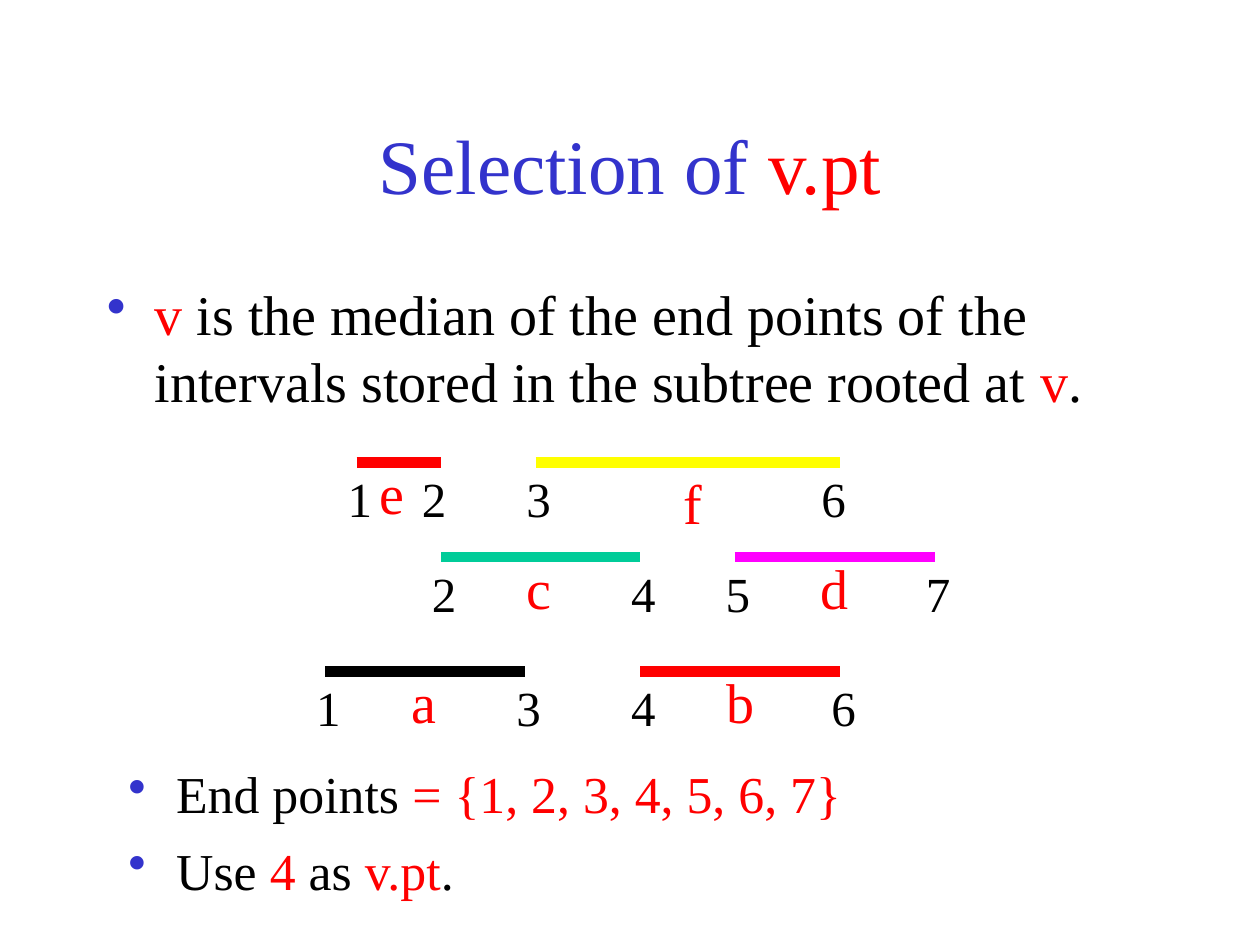
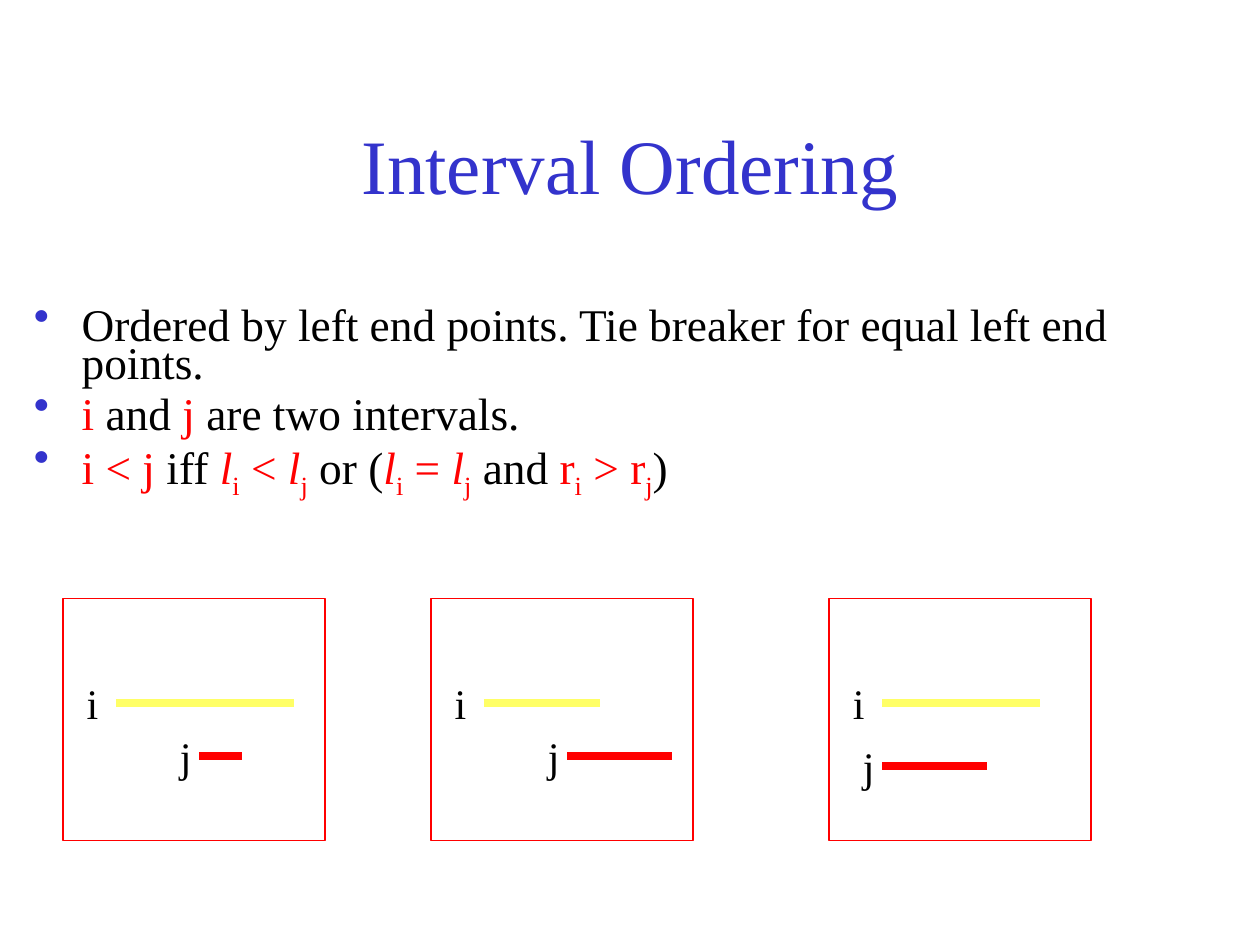
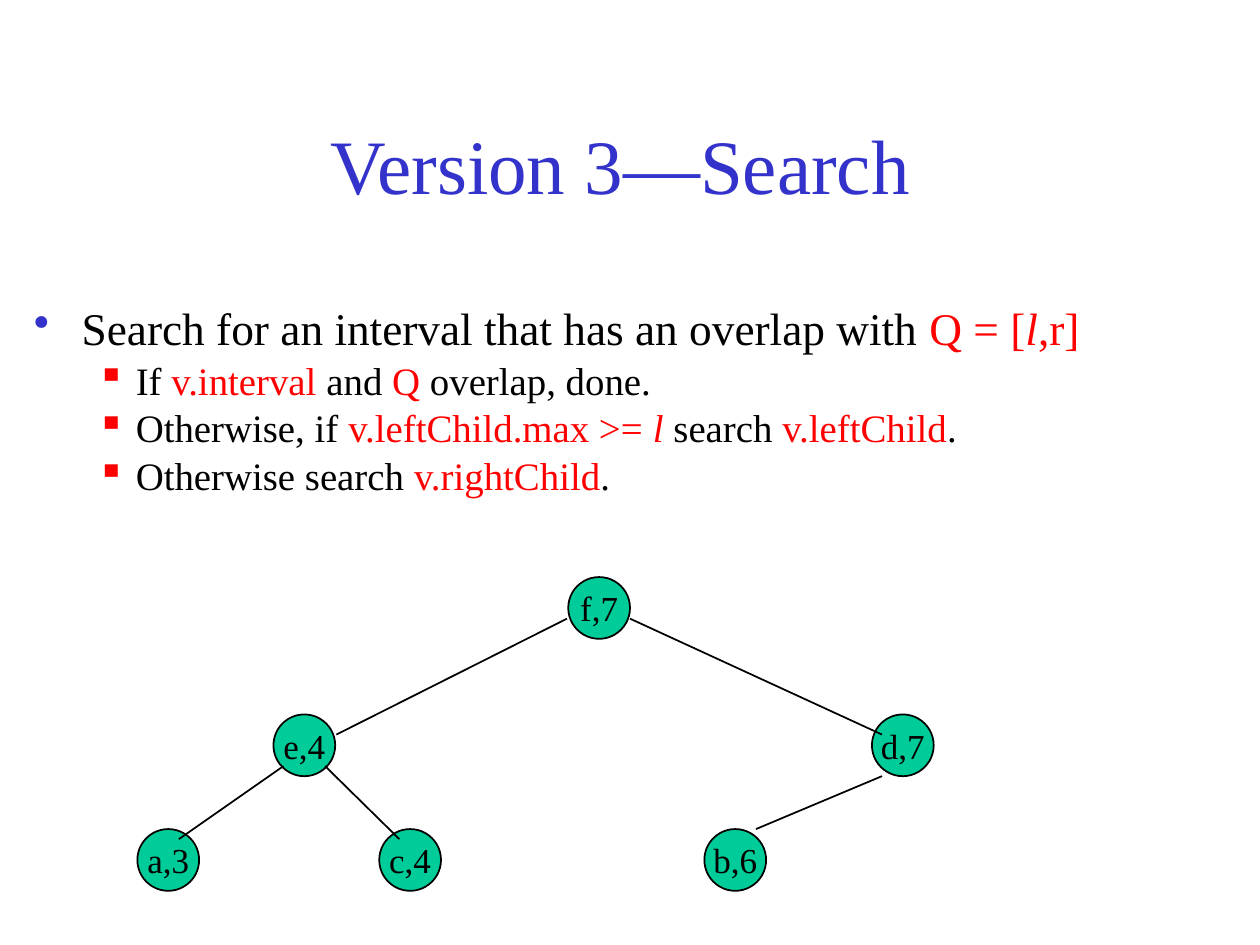
from dataclasses import dataclass

from lxml.etree import SubElement
from pptx import Presentation
from pptx.dml.color import RGBColor as RGB
from pptx.enum.shapes import MSO_CONNECTOR as CONNECTOR, MSO_SHAPE as SHAPE
from pptx.enum.text import MSO_ANCHOR as ANCHOR, PP_ALIGN as ALIGN
from pptx.oxml.ns import qn
from pptx.util import Inches, Pt


@dataclass(frozen=True)
class Theme:
    font: str = "Times New Roman"
    blue: RGB = RGB(0x33, 0x33, 0xCC)
    red: RGB = RGB(0xFF, 0x00, 0x00)
    black: RGB = RGB(0x00, 0x00, 0x00)
    green: RGB = RGB(0x00, 0xCC, 0x99)
    yellow: RGB = RGB(0xFF, 0xFF, 0x00)
    pale_yellow: RGB = RGB(0xFF, 0xFF, 0x66)
    magenta: RGB = RGB(0xFF, 0x00, 0xFF)
    title: float = 44
    statement: float = 32
    conclusion: float = 29.6
    body: float = 25.9
    detail: float = 22.2
    interval_name: float = 32
    end_point: float = 28
    panel_name: float = 24
    node: float = 20


THEME = Theme()


@dataclass(frozen=True)
class Run:
    text: str
    color: RGB = THEME.black
    italic: bool = False
    subscript: bool = False


@dataclass(frozen=True)
class Level:
    """Bullet style of one outline level; lengths in inches."""
    depth: int
    bullet: str
    color: RGB
    indent: float
    hanging: float


@dataclass(frozen=True)
class Interval:
    """A bar with its end points; the shifts fine-tune its labels."""
    name: str
    first: str
    last: str
    start: float
    end: float
    y: float
    color: RGB
    last_shift: float = -0.17
    name_shift: float = 0
    name_lift: float = 0.08


MAIN = Level(0, "•", THEME.blue, 0.38, 0.38)
SUB = Level(1, "▪", THEME.red, 0.81, 0.31)


def red(text):
    return Run(text, THEME.red)


def variable(text):
    return Run(text, THEME.red, italic=True)


def index(text):
    return Run(text, THEME.red, subscript=True)


def fill_paragraph(paragraph, runs, size):
    """Write runs (plain strings are black) in the theme font."""
    runs = [Run(run) if isinstance(run, str) else run for run in runs]
    paragraph.font.name = THEME.font
    paragraph.font.size = Pt(size)
    colors = {run.color for run in runs}
    if len(colors) == 1:
        paragraph.font.color.rgb = runs[0].color
    for run in runs:
        piece = paragraph.add_run()
        piece.text = run.text
        if len(colors) > 1:
            piece.font.color.rgb = run.color
        if run.italic:
            piece.font.italic = True
        if run.subscript:
            piece._r.get_or_add_rPr().set("baseline", "-25000")


def add_text_frame(slide, left, top, width, height):
    box = slide.shapes.add_textbox(
        Inches(left), Inches(top), Inches(width), Inches(height))
    box.text_frame.word_wrap = True
    return box.text_frame


def add_titled_slide(deck, *title):
    slide = deck.slides.add_slide(deck.slide_layouts[6])
    frame = add_text_frame(slide, 0.75, 0.67, 8.5, 1.25)
    frame.vertical_anchor = ANCHOR.MIDDLE
    heading = frame.paragraphs[0]
    heading.alignment = ALIGN.CENTER
    fill_paragraph(heading, title, THEME.title)
    return slide


def set_bullet(paragraph, level):
    paragraph.level = level.depth
    properties = paragraph._p.get_or_add_pPr()
    properties.set("marL", str(Inches(level.indent)))
    properties.set("indent", str(-Inches(level.hanging)))
    color = SubElement(properties, qn("a:buClr"))
    SubElement(color, qn("a:srgbClr"), val=str(level.color))
    SubElement(properties, qn("a:buChar"), char=level.bullet)


def add_bullets(slide, area, items, spacing=1.0):
    """Each item is (level, size, space before, runs)."""
    frame = add_text_frame(slide, *area)
    for number, (level, size, before, runs) in enumerate(items):
        item = frame.add_paragraph() if number else frame.paragraphs[0]
        item.space_before = Pt(before)
        if spacing != 1.0:
            item.line_spacing = spacing
        set_bullet(item, level)
        fill_paragraph(item, runs, size)


def add_label(slide, run, left, top, width, height, size):
    label = add_text_frame(slide, left, top, width, height).paragraphs[0]
    label.space_before = Pt(size * 0.625)
    fill_paragraph(label, [run], size)


def add_line(slide, start, end, color, weight):
    line = slide.shapes.add_connector(
        CONNECTOR.STRAIGHT, *(Inches(length) for length in (*start, *end)))
    line.line.color.rgb = color
    line.line.width = Pt(weight)
    SubElement(line._element.spPr, qn("a:effectLst"))


def add_outlined(slide, preset, left, top, width, height, color, weight):
    outlined = slide.shapes.add_shape(
        preset, Inches(left), Inches(top), Inches(width), Inches(height))
    outlined.shadow.inherit = False
    outlined.fill.background()
    outlined.line.color.rgb = color
    outlined.line.width = Pt(weight)
    return outlined


def add_interval(slide, interval):
    y = interval.y
    add_line(slide, (interval.start, y), (interval.end, y), interval.color, 6)
    for point, left in ((interval.first, interval.start - 0.17),
                        (interval.last, interval.end + interval.last_shift)):
        add_label(slide, point, left, y, 0.42, 0.57, THEME.end_point)
    middle = (interval.start + interval.end) / 2
    add_label(slide, red(interval.name), middle - 0.21 + interval.name_shift,
              y - interval.name_lift, 0.42, 0.64, THEME.interval_name)


def add_ordering_panel(slide, left, i_length, j_offset, j_length, j_y):
    """Frame two bars, i above j, to show one case of the ordering."""
    bars = (("i", left + 0.42, i_length, 5.58, THEME.pale_yellow, 0.33),
            ("j", left + j_offset, j_length, j_y, THEME.red, 0.25))
    for name, start, length, y, color, gap in bars:
        add_line(slide, (start, y), (start + length, y), color, 4.5)
        add_label(slide, name, start - gap, y - 0.25, 0.33, 0.5,
                  THEME.panel_name)
    add_outlined(slide, SHAPE.RECTANGLE, left, 4.75, 2.08, 1.92,
                 THEME.red, 0.75)


def add_node(slide, name, left, top):
    node = add_outlined(slide, SHAPE.OVAL, left, top, 0.49, 0.49,
                        THEME.black, 1)
    node.fill.solid()
    node.fill.fore_color.rgb = THEME.green
    frame = node.text_frame
    frame.word_wrap = False
    frame.margin_left = frame.margin_right = 0
    frame.margin_top = frame.margin_bottom = 0
    frame.vertical_anchor = ANCHOR.MIDDLE
    frame.paragraphs[0].alignment = ALIGN.CENTER
    fill_paragraph(frame.paragraphs[0], [name], THEME.node)


def build_selection(deck):
    slide = add_titled_slide(
        deck, Run("Selection of ", THEME.blue), red("v.pt"))
    add_bullets(slide, (0.75, 2.17, 8.5, 1.25), [
        (MAIN, THEME.statement, 8,
         [red("v"), " is the median of the end points of the intervals "
          "stored in the subtree rooted at ", red("v"), "."]),
    ])
    top, middle, bottom = 3.67, 4.42, 5.33
    for interval in (
        Interval("a", "1", "3", 2.58, 4.17, bottom, THEME.black),
        Interval("c", "2", "4", 3.5, 5.08, middle, THEME.green),
        Interval("b", "4", "6", 5.08, 6.67, bottom, THEME.red),
        Interval("f", "3", "6", 4.25, 6.67, top, THEME.yellow,
                 last_shift=-0.25, name_shift=0.08, name_lift=0),
        Interval("d", "5", "7", 5.83, 7.42, middle, THEME.magenta),
        Interval("e", "1", "2", 2.83, 3.5, top, THEME.red,
                 last_shift=-0.25, name_shift=-0.04),
    ):
        add_interval(slide, interval)
    add_bullets(slide, (0.92, 6, 8.5, 1.25), [
        (MAIN, THEME.conclusion, 8,
         ["End points", red(" = {1, 2, 3, 4, 5, 6, 7}")]),
        (MAIN, THEME.conclusion, 8,
         ["Use ", red("4 "), "as", red(" v.pt"), "."]),
    ])


def build_ordering(deck):
    slide = add_titled_slide(deck, Run("Interval Ordering", THEME.blue))
    left_i = [variable("l"), index("i")]
    left_j = [variable("l"), index("j")]
    lines = (
        ["Ordered by left end points. "
         "Tie breaker for equal left end points."],
        [red("i"), " and ", red("j "), "are two intervals."],
        [red("i < j"), " iff ", *left_i, red(" < "), *left_j, " or (",
         *left_i, red(" = "), *left_j, " and ",
         red("r"), index("i"), red(" > r"), index("j"), ")"],
    )
    add_bullets(slide, (0.17, 2.42, 9.5, 1.58),
                [(MAIN, THEME.body, 7, runs) for runs in lines], 0.7)
    for panel in ((0.5, 1.41, 1.08, 0.34, 6),
                  (3.42, 0.92, 1.08, 0.83, 6),
                  (6.58, 1.25, 0.42, 0.83, 6.08)):
        add_ordering_panel(slide, *panel)


def build_search(deck):
    slide = add_titled_slide(deck, Run("Version 3—Search ", THEME.blue))
    steps = (
        ["If", red(" v.interval "), "and", red(" Q "), "overlap, done."],
        ["Otherwise, if ", red("v.leftChild.max >= "), variable("l"),
         " search ", red("v.leftChild"), "."],
        ["Otherwise search ", red("v.rightChild"), "."],
    )
    add_bullets(slide, (0.17, 2.42, 9.5, 1.58), [
        (MAIN, THEME.body, 7,
         ["Search for an interval that has an overlap with ",
          red("Q = ["), variable("l"), red(",r]")]),
        *((SUB, THEME.detail, 6, runs) for runs in steps),
    ], 0.8)
    root, children, leaves = 4.58, 5.67, 6.58
    for node in (("f,7", 4.51, root),
                 ("e,4", 2.17, children), ("d,7", 6.92, children),
                 ("a,3", 1.09, leaves), ("c,4", 3.01, leaves),
                 ("b,6", 5.59, leaves)):
        add_node(slide, *node)
    for parent, child in (((4.5, 4.91), (2.67, 5.83)),
                          ((5, 4.91), (7, 5.83)),
                          ((2.25, 6.08), (1.42, 6.66)),
                          ((2.58, 6.08), (3.17, 6.66)),
                          ((7, 6.16), (6, 6.58))):
        add_line(slide, parent, child, THEME.black, 1)


def main():
    deck = Presentation()
    deck.slide_width, deck.slide_height = Inches(10), Inches(7.5)
    build_selection(deck)
    build_ordering(deck)
    build_search(deck)
    deck.save("out.pptx")


if __name__ == "__main__":
    main()
